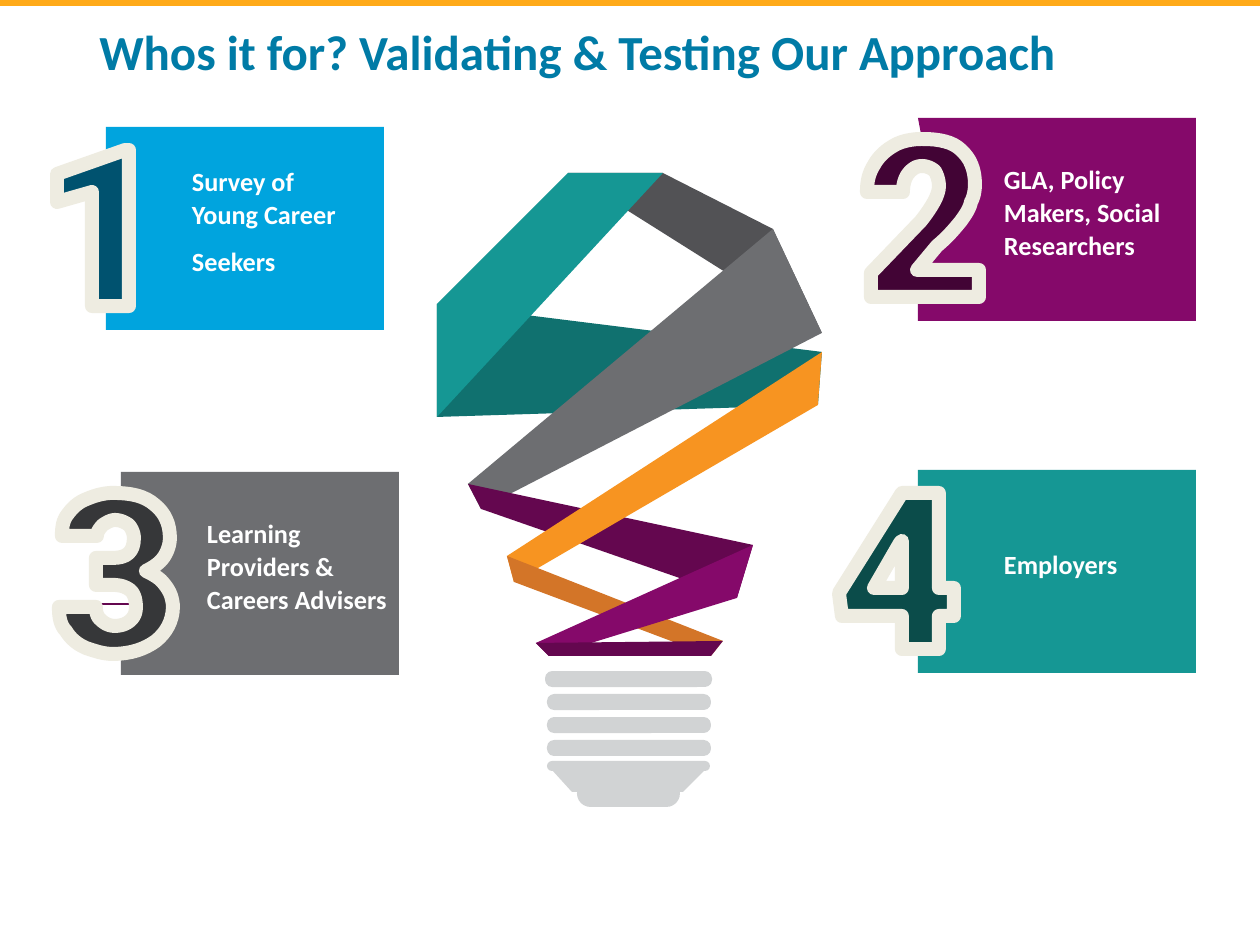
from pptx import Presentation
from pptx.dml.color import RGBColor
from pptx.enum.shapes import MSO_CONNECTOR, MSO_SHAPE
from pptx.enum.text import MSO_ANCHOR, PP_ALIGN
from pptx.oxml.ns import qn
from pptx.util import Pt
from lxml import etree

PX = 914400 / 126
FONT = "Calibri"
RECT, ROUNDED = MSO_SHAPE.RECTANGLE, MSO_SHAPE.ROUNDED_RECTANGLE
STRAIGHT = MSO_CONNECTOR.STRAIGHT
JUSTIFY, MIDDLE = PP_ALIGN.JUSTIFY, MSO_ANCHOR.MIDDLE

WHITE = RGBColor(0xFF, 0xFF, 0xFF)
AMBER = RGBColor(0xFF, 0xAA, 0x19)
TITLE_BLUE = RGBColor(0x00, 0x7B, 0xA6)
CREAM = RGBColor(0xEE, 0xEC, 0xE1)
SILVER = RGBColor(0xD1, 0xD3, 0xD4)
CHARCOAL = RGBColor(0x52, 0x52, 0x55)
GRAY = RGBColor(0x6D, 0x6E, 0x71)
DARK_GRAY = RGBColor(0x36, 0x37, 0x39)
TEAL = RGBColor(0x15, 0x97, 0x94)
DARK_TEAL = RGBColor(0x10, 0x71, 0x6F)
DEEP_TEAL = RGBColor(0x0B, 0x4C, 0x4A)
PURPLE = RGBColor(0x85, 0x09, 0x6A)
PLUM = RGBColor(0x64, 0x07, 0x4F)
DEEP_PLUM = RGBColor(0x42, 0x04, 0x35)
ORANGE = RGBColor(0xF7, 0x94, 0x21)
DARK_ORANGE = RGBColor(0xD3, 0x75, 0x28)
BLUE = RGBColor(0x00, 0xA4, 0xDE)
DARK_BLUE = RGBColor(0x00, 0x52, 0x6F)

PANEL_W, PANEL_H = 278, 203

RIBBONS = [
    (CHARCOAL, [(568, 173), (822, 333), (773, 229), (663, 173)]),
    (DARK_TEAL, [(437, 304), (822, 352), (818, 405), (437, 417)]),
    (GRAY, [(773, 229), (468, 484), (481, 509), (822, 333)]),
    (PLUM, [(468, 484), (753, 545), (737, 598), (481, 509)]),
    (ORANGE, [(822, 352), (507, 556), (514, 582), (818, 405)]),
    (DARK_ORANGE, [(507, 556), (723, 641), (711, 656), (514, 582)]),
    (TEAL, [(568, 173), (437, 304), (437, 417), (663, 173)]),
    (PURPLE, [(549, 656), (737, 598), (753, 545), (536, 643)]),
    (PLUM, [(536, 643), (723, 641), (711, 656), (549, 656)]),
]

# Digit outlines: a pair is a line to a point, six numbers are a Bézier curve.
ONE = [(57, 174), (125, 150), (129, 150), (129, 306), (92, 306), (92, 192),
       (57, 202)]
TWO = [(922, 139), (940, 139, 953, 142, 961, 150), (970, 158, 975, 169, 975, 184),
       (975, 190, 974, 197, 971, 202), (970, 208, 966, 214, 961, 221),
       (956, 227, 949, 236, 937, 246), (917, 270), (979, 270), (979, 297),
       (871, 297), (871, 273), (921, 221), (932, 207, 939, 195, 939, 186),
       (939, 180, 937, 175, 935, 171), (931, 168, 927, 166, 922, 166),
       (916, 166, 912, 169, 908, 174), (905, 178, 903, 184, 903, 192), (867, 192),
       (867, 181, 869, 173, 874, 165), (879, 156, 886, 150, 895, 145),
       (902, 141, 912, 139, 922, 139)]
THREE = [(113, 493), (131, 493, 145, 496, 155, 505), (165, 513, 170, 524, 170, 538),
         (170, 544, 168, 551, 164, 557), (160, 563, 154, 567, 146, 571),
         (154, 575, 160, 578, 165, 585), (170, 591, 173, 599, 173, 607),
         (173, 621, 166, 633, 156, 641), (145, 649, 131, 654, 113, 654),
         (103, 654, 95, 651, 86, 648), (77, 644, 71, 639, 66, 631),
         (60, 625, 59, 616, 59, 607), (96, 607), (96, 612, 97, 617, 101, 620),
         (105, 624, 110, 626, 115, 626), (121, 626, 127, 624, 131, 620),
         (135, 616, 136, 612, 136, 607), (136, 599, 134, 593, 130, 590),
         (126, 587, 121, 585, 113, 585), (96, 585), (96, 558), (113, 558),
         (127, 558, 134, 552, 134, 538), (134, 533, 132, 529, 129, 525),
         (126, 523, 121, 520, 115, 520), (111, 520, 106, 523, 103, 525),
         (100, 528, 97, 532, 97, 536), (62, 536), (62, 527, 63, 520, 68, 514),
         (73, 507, 79, 502, 87, 499), (96, 495, 105, 493, 113, 493)]
FOUR = [(902, 493), (939, 493), (939, 588), (954, 588), (954, 616), (939, 616),
        (939, 649), (902, 649), (902, 616), (842, 616), (839, 593)]
FOUR_HOLE = [(902, 541), (900, 543), (874, 588), (902, 588)]

# left, top, colour, lines, digit outline, segments on its right side, holes, digit colour
PANELS = [
    (106, 127, BLUE, ["Survey of", "Young Career", "Seekers"],
     ONE, 5, [], DARK_BLUE),
    (918, 118, PURPLE, ["GLA, Policy ", "Makers, Social ", "Researchers"],
     TWO, 10, [], DEEP_PLUM),
    (121, 472, GRAY, ["Learning", "Providers & ", "Careers Advisers"],
     THREE, 9, [], DARK_GRAY),
    (918, 470, TEAL, ["Employers"], FOUR, 8, [FOUR_HOLE], DEEP_TEAL),
]


def px(n):
    return round(n * PX)


def flatten(segments, steps=8):
    """Turn lines and cubic curves into one list of points."""
    points = []
    for seg in segments:
        if len(seg) == 2:
            points.append(seg)
            continue
        (x0, y0), (x1, y1, x2, y2, x3, y3) = points[-1], seg
        for i in range(1, steps + 1):
            t = i / steps
            a, b, c, d = (1 - t) ** 3, 3 * t * (1 - t) ** 2, 3 * t * t * (1 - t), t ** 3
            points.append((a * x0 + b * x1 + c * x2 + d * x3,
                           a * y0 + b * y1 + c * y2 + d * y3))
    return points


def paint(sp, color):
    sp.shadow.inherit = False
    sp.fill.solid()
    sp.fill.fore_color.rgb = color
    sp.line.fill.background()
    return sp


def add_box(s, kind, x, y, w, h, color, radius=None):
    sp = paint(s.shapes.add_shape(kind, px(x), px(y), px(w), px(h)), color)
    if radius is not None:
        sp.adjustments[0] = radius
    return sp


def add_polygon(s, color, *contours):
    fb = None
    for contour in contours:
        start, *rest = [(px(x), px(y)) for x, y in contour]
        if fb is None:
            fb = s.shapes.build_freeform(*start)
        else:
            fb.move_to(*start)
        fb.add_line_segments(rest, close=True)
    return paint(fb.convert_to_shape(), color)


def set_font(p, size, color):
    p.font.name, p.font.size, p.font.bold = FONT, Pt(size), True
    p.font.color.rgb = color


def add_title(s, text):
    tf = s.shapes.add_textbox(px(87), px(15), px(1086), px(102)).text_frame
    tf.word_wrap = True
    p = tf.paragraphs[0]
    p.text = text
    set_font(p, 28, TITLE_BLUE)


def add_bulb(s):
    add_box(s, ROUNDED, 577, 780, 103, 27, SILVER, 0.5)
    add_polygon(s, SILVER, [(552, 770), (705, 770), (683, 792), (572, 792)])
    add_box(s, ROUNDED, 545, 671, 167, 16, SILVER, 0.45)
    for i in range(1, 4):
        add_box(s, ROUNDED, 547, 671 + 23 * i, 164, 16, SILVER, 0.45)
    add_box(s, ROUNDED, 547, 761, 163, 10, SILVER, 0.5)
    for color, points in RIBBONS:
        add_polygon(s, color, points)


def add_rule(s, x1, x2, y):
    ln = s.shapes.add_connector(STRAIGHT, px(x1), px(y), px(x2), px(y))
    ln.line.color.rgb = PLUM
    ln.line.width = Pt(0.75)
    etree.SubElement(ln._element.spPr, qn("a:effectLst"))


def add_panel(s, left, top, color, lines, digit_edge):
    """Rectangle whose left side is cut along the digit's right side."""
    right, bottom = left + PANEL_W, top + PANEL_H
    cut = [(max(x, left), y) for x, y in reversed(flatten(digit_edge))]
    corners = [(left, top), (right, top), (right, bottom), (left, bottom)]
    tf = add_polygon(s, color, corners + cut).text_frame
    tf.word_wrap = True
    tf.vertical_anchor = MIDDLE
    tf.margin_left, tf.margin_right = px(86), px(9)
    tf.margin_top = tf.margin_bottom = px(5)
    for i, line in enumerate(lines):
        p = tf.add_paragraph() if i else tf.paragraphs[0]
        p.text = line
        set_font(p, 15, WHITE)
        if line == "Seekers":
            p.alignment = PP_ALIGN.LEFT
        else:
            p.alignment = JUSTIFY
            p.line_spacing, p.space_after = Pt(9.8), Pt(9)


def add_digit(s, color, outline, holes):
    sp = add_polygon(s, color, flatten(outline), *holes)
    sp.line.color.rgb = CREAM
    sp.line.width = Pt(8)


def main():
    prs = Presentation()
    prs.slide_width, prs.slide_height = px(1260), px(945)
    s = prs.slides.add_slide(prs.slide_layouts[6])
    add_box(s, RECT, 0, 0, 1260, 6, AMBER)
    add_title(s, "Whos it for? Validating & Testing Our Approach")
    add_bulb(s)
    add_rule(s, 69, 397, 604)
    for left, top, color, lines, outline, edge, _, _ in PANELS:
        add_panel(s, left, top, color, lines, outline[:edge])
    for *_, outline, _, holes, color in PANELS:
        add_digit(s, color, outline, holes)
    prs.save("out.pptx")


if __name__ == "__main__":
    main()
